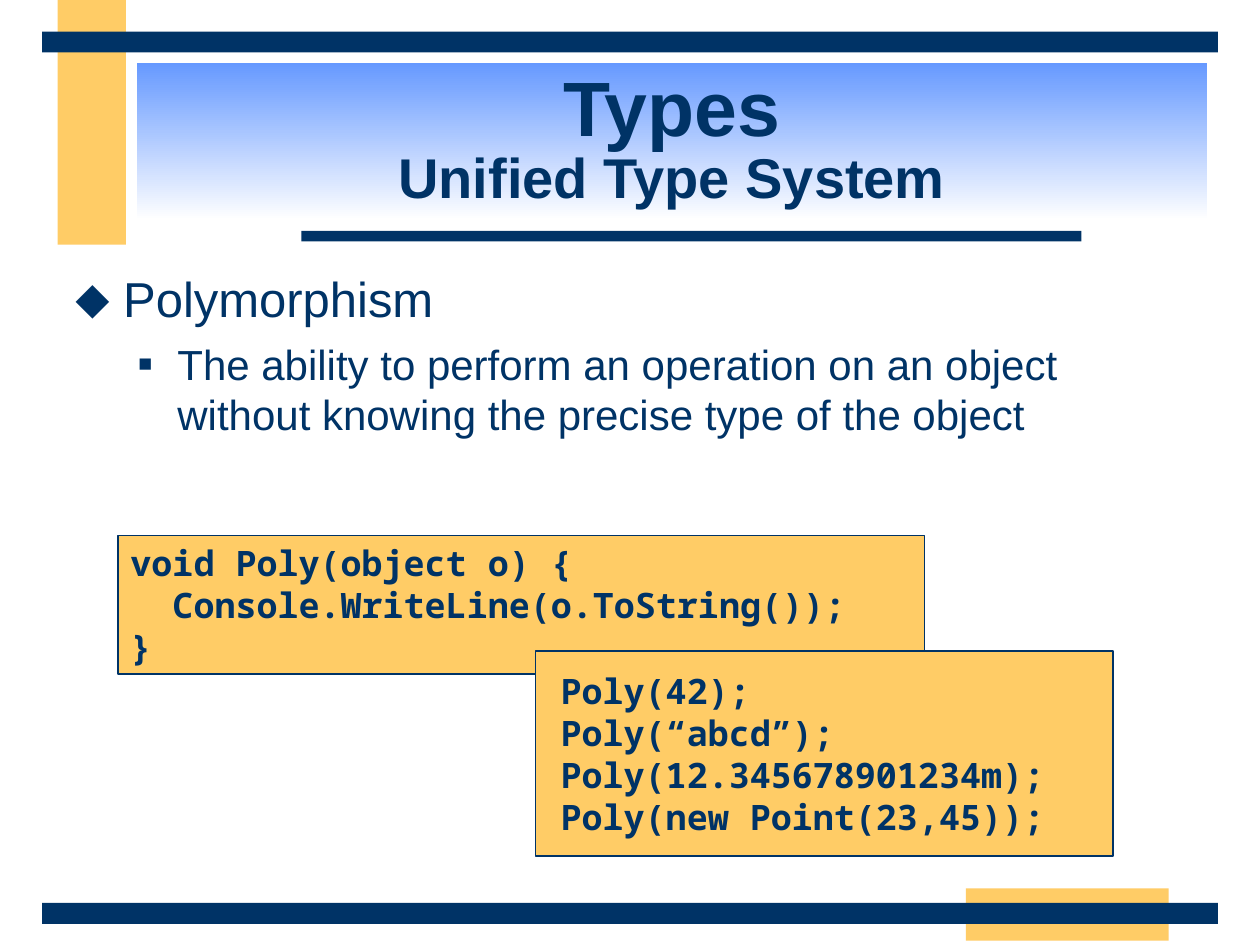
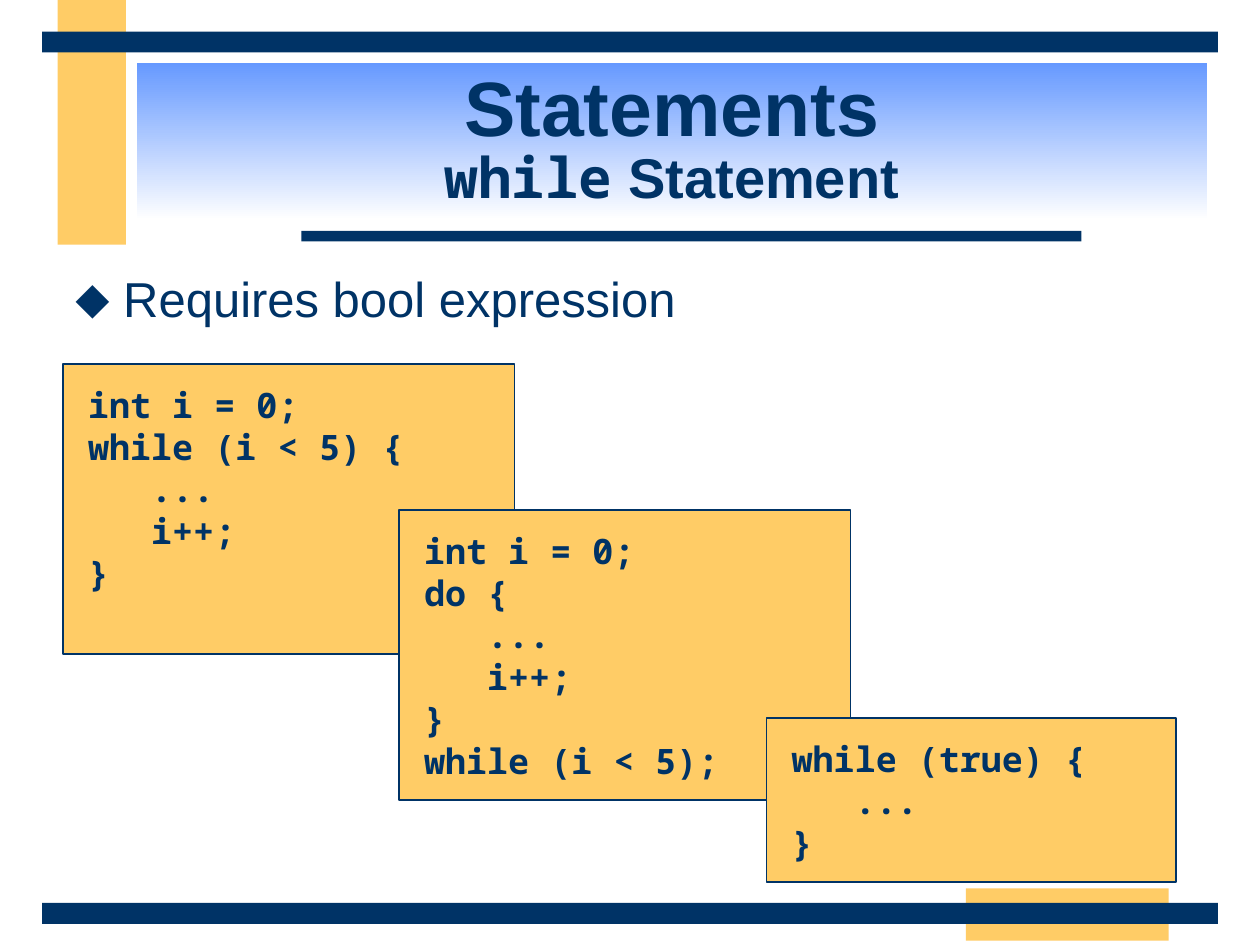
"""Build two C# lecture slides with a shared banner, bands and code panels."""
from dataclasses import dataclass
from typing import Any, NamedTuple

import lxml.etree
import pptx
import pptx.dml.color
import pptx.enum.shapes
import pptx.enum.text
import pptx.oxml.ns
import pptx.util

COLUMNS, ROWS = 120, 90
SLIDE_WIDTH, SLIDE_HEIGHT = pptx.util.Inches(10), pptx.util.Inches(7.5)
TITLE_ONLY = 5


@dataclass(frozen=True)
class Theme:
    """Colours, fonts and type sizes used on every slide."""
    navy: str = "003366"
    amber: str = "FFCC66"
    sky: str = "6699FF"
    white: str = "FFFFFF"
    sans: str = "Arial"
    mono: str = "Noto Sans Mono"
    heading: int = 44
    subheading: int = 32
    topic: int = 28
    detail: int = 24
    code: int = 20


THEME = Theme()


class Area(NamedTuple):
    """A rectangle in grid columns and rows."""
    column: float
    row: float
    columns: float
    rows: float


class Band(NamedTuple):
    """A plain decorative bar."""
    area: Area
    colour: str


class Piece(NamedTuple):
    """A stretch of text in one font."""
    text: str
    font: str = THEME.sans


class Level(NamedTuple):
    """The look of one bullet level."""
    size: int
    symbol: str
    percent: int
    margin: float
    hanging: float
    before: float


class Bullet(NamedTuple):
    """A bulleted line and its level."""
    text: str
    level: int = 0


class Panel(NamedTuple):
    """A code listing with its place and padding in inches."""
    area: Area
    code: str
    padding: tuple[float, float] = (0.2, 0.15)


class Lesson(NamedTuple):
    """The content of one slide."""
    heading: str
    subheading: list[Piece]
    bullets: list[Bullet]
    panels: list[Panel]


BANDS = [
    Band(Area(5.5, 0, 6.5, 23.3), THEME.amber),
    Band(Area(92, 84.6, 19.3, 5), THEME.amber),
    Band(Area(28.7, 22, 74.3, 1), THEME.navy),
    Band(Area(4, 86, 112, 2), THEME.navy),
    Band(Area(4, 3, 112, 2), THEME.navy),
]
BANNER = Area(13, 6, 102, 15)
BODY = Area(6, 25, 108, 59)
LEVELS = [
    Level(THEME.topic, "⬥", 100, 0.38, 0.38, 7),
    Level(THEME.detail, "■", 55, 0.81, 0.31, 6),
]

LESSONS = [
    Lesson(
        "Types",
        [Piece("Unified Type System")],
        [Bullet("Polymorphism"),
         Bullet("The ability to perform an operation on an object "
                "without knowing the precise type of the object", 1)],
        [Panel(Area(11.25, 51, 76.8, 13.2),
               "void Poly(object o) {\n  Console.WriteLine(o.ToString());\n}",
               (0.1, 0.05)),
         Panel(Area(51, 62, 55, 19.5),
               "Poly(42);\nPoly(“abcd”);\nPoly(12.345678901234m);\n"
               "Poly(new Point(23,45));")],
    ),
    Lesson(
        "Statements",
        [Piece("while", THEME.mono), Piece(" Statement")],
        [Bullet("Requires bool expression")],
        [Panel(Area(6, 34.7, 43, 27.6),
               "int i = 0;\nwhile (i < 5) {\n   ...\n   i++;\n}"),
         Panel(Area(38, 48.6, 43, 27.6),
               "int i = 0;\ndo {\n   ...\n   i++;\n}\nwhile (i < 5);"),
         Panel(Area(73, 68.4, 39, 15.6),
               "while (true) {\n   ...\n}")],
    ),
]


def rgb(colour: str) -> pptx.dml.color.RGBColor:
    """Turn a hex string into a colour."""
    return pptx.dml.color.RGBColor.from_string(colour)


def apply(target: Any, formats: dict[str, Any]) -> None:
    """Set each named format value on the target."""
    for name, value in formats.items():
        setattr(target, name, value)


def bounds(area: Area) -> dict[str, int]:
    """Convert a grid area to slide lengths."""
    return {
        "left": round(SLIDE_WIDTH * area.column / COLUMNS),
        "top": round(SLIDE_HEIGHT * area.row / ROWS),
        "width": round(SLIDE_WIDTH * area.columns / COLUMNS),
        "height": round(SLIDE_HEIGHT * area.rows / ROWS),
    }


def format_frame(frame: Any, padding: tuple[float, float] = (0.1, 0.05),
                 anchor: Any = pptx.enum.text.MSO_ANCHOR.TOP,
                 fit: Any = pptx.enum.text.MSO_AUTO_SIZE.NONE) -> None:
    """Set wrapping, padding, anchor and fit of a text frame."""
    across, down = map(pptx.util.Inches, padding)
    apply(frame, {
        "word_wrap": True, "auto_size": fit, "vertical_anchor": anchor,
        "margin_left": across, "margin_right": across,
        "margin_top": down, "margin_bottom": down,
    })


def add_text(paragraph: Any, piece: Piece, size: int, bold: bool = False) -> None:
    """Append a navy run to a paragraph."""
    run = paragraph.add_run()
    run.text = piece.text
    apply(run.font, {"name": piece.font, "size": pptx.util.Pt(size), "bold": bold})
    run.font.color.rgb = rgb(THEME.navy)


def add_box(slide: Any, area: Area, colour: str) -> Any:
    """Draw a flat rectangle without an outline."""
    box = slide.shapes.add_shape(
        pptx.enum.shapes.MSO_SHAPE.RECTANGLE, *bounds(area).values())
    box.shadow.inherit = False
    box.fill.solid()
    box.fill.fore_color.rgb = rgb(colour)
    box.line.fill.background()
    return box


def add_banner(slide: Any, lesson: Lesson) -> None:
    """Place the title on its gradient banner."""
    title = slide.shapes.title
    apply(title, bounds(BANNER))
    title.fill.gradient()
    title.fill.gradient_angle = 270
    for stop, colour in zip(title.fill.gradient_stops, (THEME.sky, THEME.white)):
        stop.color.rgb = rgb(colour)
    format_frame(title.text_frame, anchor=pptx.enum.text.MSO_ANCHOR.MIDDLE)
    paragraph = title.text_frame.paragraphs[0]
    apply(paragraph, {"alignment": pptx.enum.text.PP_ALIGN.CENTER,
                      "line_spacing": 0.85})
    add_text(paragraph, Piece(lesson.heading), THEME.heading, True)
    paragraph.add_line_break()
    for piece in lesson.subheading:
        add_text(paragraph, piece, THEME.subheading, True)


def set_bullet(paragraph: Any, level: Level) -> None:
    """Give a paragraph its hanging indent and navy bullet."""
    tag = pptx.oxml.ns.qn
    properties = paragraph._p.get_or_add_pPr()
    properties.set("marL", str(pptx.util.Inches(level.margin)))
    properties.set("indent", str(-pptx.util.Inches(level.hanging)))
    tint = lxml.etree.SubElement(properties, tag("a:buClr"))
    lxml.etree.SubElement(tint, tag("a:srgbClr"), val=THEME.navy)
    lxml.etree.SubElement(properties, tag("a:buSzPct"), val=str(level.percent * 1000))
    lxml.etree.SubElement(properties, tag("a:buFont"), typeface=THEME.sans)
    lxml.etree.SubElement(properties, tag("a:buChar"), char=level.symbol)


def add_bullets(slide: Any, bullets: list[Bullet]) -> None:
    """Write the bulleted body text."""
    frame = slide.shapes.add_textbox(*bounds(BODY).values()).text_frame
    format_frame(frame)
    for index, bullet in enumerate(bullets):
        paragraph = frame.add_paragraph() if index else frame.paragraphs[0]
        level = LEVELS[bullet.level]
        set_bullet(paragraph, level)
        apply(paragraph, {"level": bullet.level,
                          "space_before": pptx.util.Pt(level.before if index else 0)})
        add_text(paragraph, Piece(bullet.text), level.size)


def add_panel(slide: Any, panel: Panel) -> None:
    """Draw an outlined code panel, one paragraph to a line."""
    box = add_box(slide, panel.area, THEME.amber)
    box.line.color.rgb = rgb(THEME.navy)
    box.line.width = pptx.util.Pt(1)
    frame = box.text_frame
    format_frame(frame, panel.padding,
                 fit=pptx.enum.text.MSO_AUTO_SIZE.SHAPE_TO_FIT_TEXT)
    for index, line in enumerate(panel.code.split("\n")):
        paragraph = frame.add_paragraph() if index else frame.paragraphs[0]
        paragraph.alignment = pptx.enum.text.PP_ALIGN.LEFT
        add_text(paragraph, Piece(line, THEME.mono), THEME.code, True)


def add_lesson(deck: Any, lesson: Lesson) -> None:
    """Add one complete slide."""
    slide = deck.slides.add_slide(deck.slide_layouts[TITLE_ONLY])
    for band in BANDS:
        add_box(slide, band.area, band.colour)
    add_banner(slide, lesson)
    add_bullets(slide, lesson.bullets)
    for panel in lesson.panels:
        add_panel(slide, panel)


def main() -> None:
    """Build and save the deck."""
    deck = pptx.Presentation()
    apply(deck, {"slide_width": SLIDE_WIDTH, "slide_height": SLIDE_HEIGHT})
    for lesson in LESSONS:
        add_lesson(deck, lesson)
    deck.save("out.pptx")


if __name__ == "__main__":
    main()
